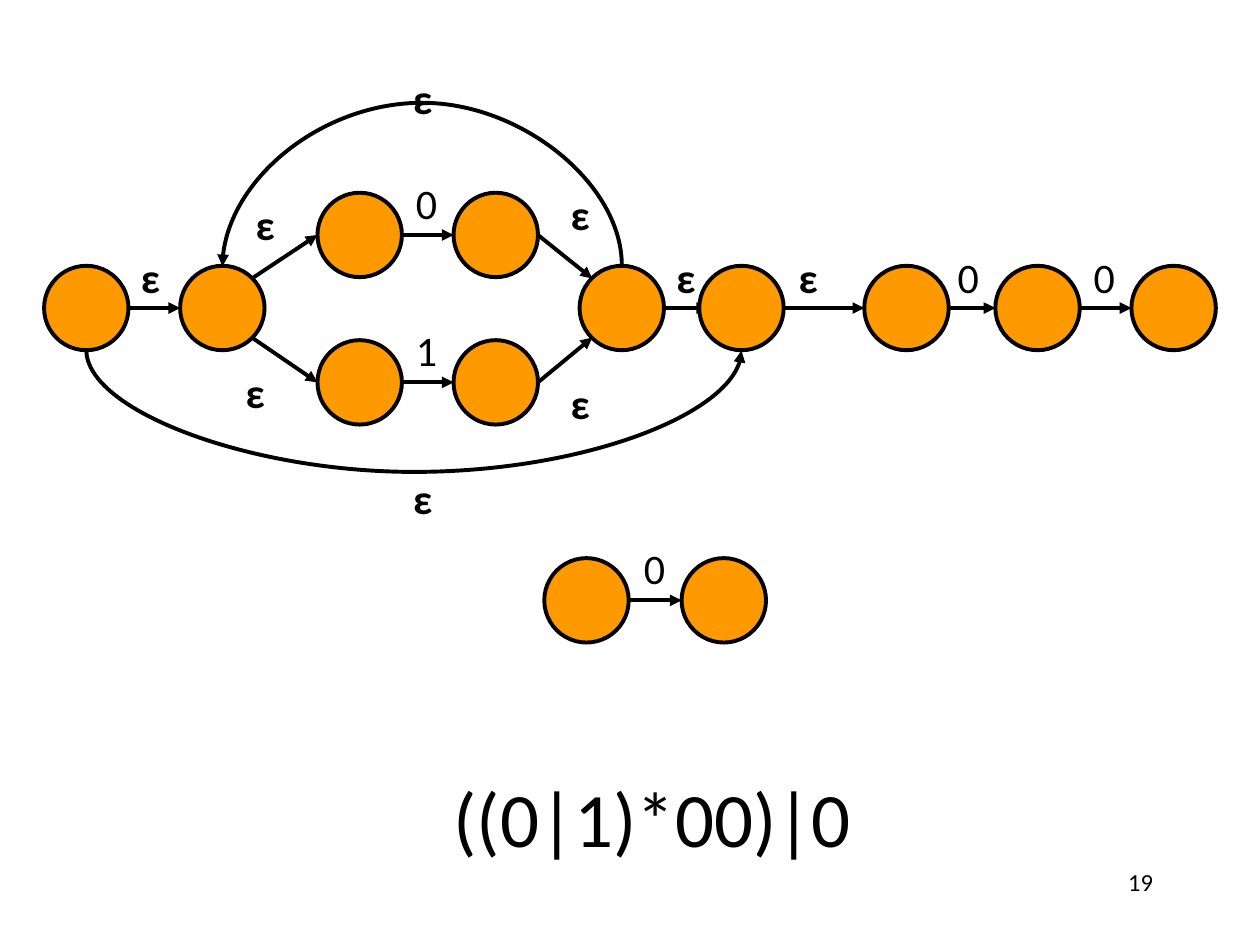
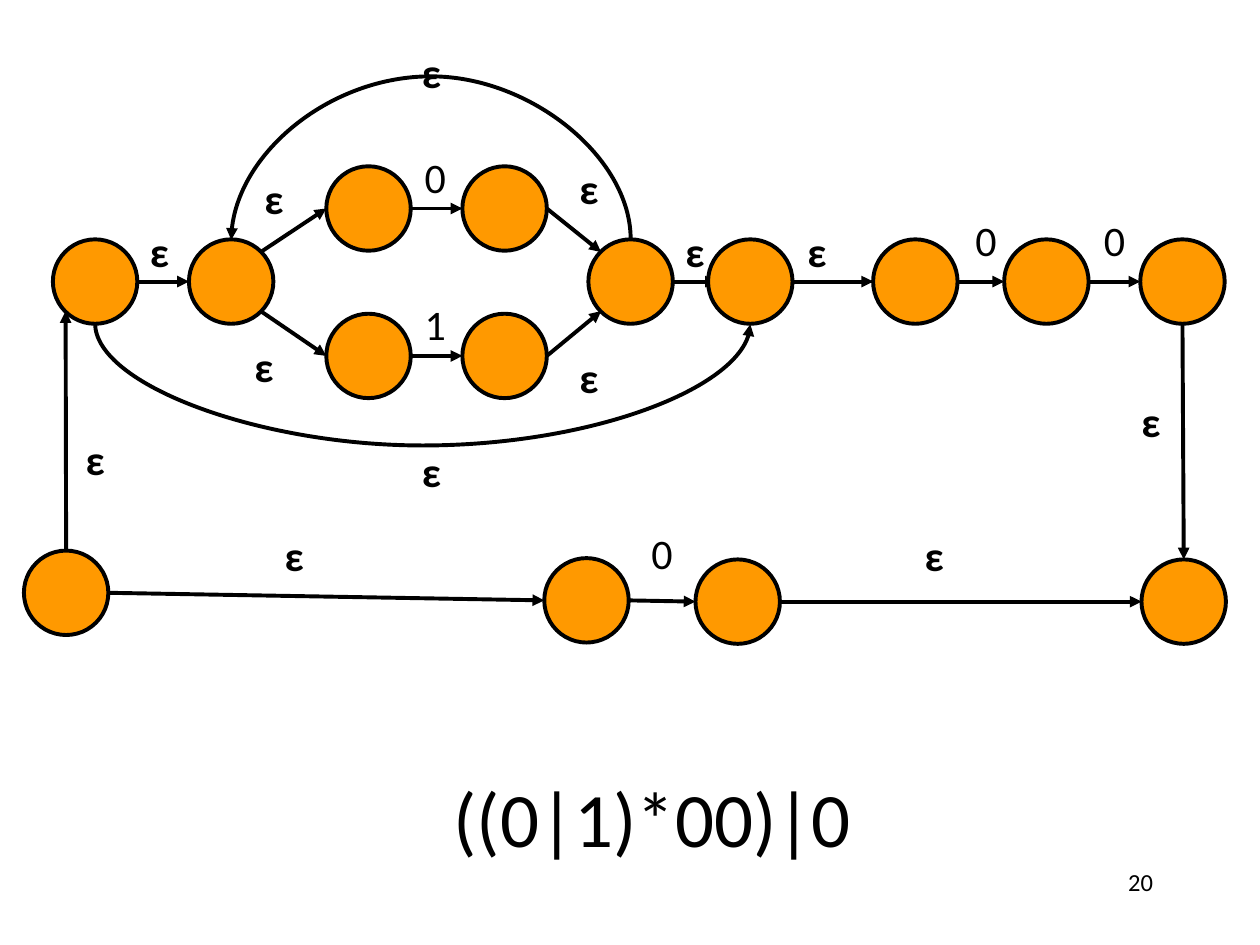
from lxml import etree
from pptx import Presentation
from pptx import util as u
from pptx.dml.color import RGBColor
from pptx.enum import shapes, text
from pptx.oxml.ns import qn

ORANGE = RGBColor(0xFF, 0x99, 0x00)
BLACK = RGBColor(0, 0, 0)
FONT = "Calibri"
DISC = 0.67
LINE_WIDTH = u.Pt(2.25)
LABEL_HEIGHT = 0.5
LABEL_WIDTH = {"ε": 0.35, "0": 0.37, "1": 0.37}
OVERLAP = 0.07  # the arrow into "accept" runs on under the disc
THIN = u.Emu(7200)  # thickness of the connector frame behind a curve

# Compass point on a disc: connection site, x and y as shares of its size
SITES = {"n": (0, 0.5, 0), "nw": (1, 0.15, 0.15), "w": (2, 0, 0.5),
         "sw": (3, 0.15, 0.85), "s": (4, 0.5, 1), "se": (5, 0.85, 0.85),
         "e": (6, 1, 0.5), "ne": (7, 0.85, 0.15)}

# Content: the automaton for (0|1)*00, on both slides
STATES = {
    "start": (0.35, 2.11), "fork": (1.43, 2.11),
    "zero_in": (2.52, 1.53), "zero_out": (3.6, 1.53),
    "one_in": (2.52, 2.7), "one_out": (3.6, 2.7),
    "join": (4.6, 2.11), "accept": (5.55, 2.11),
    "tail_1": (6.86, 2.11), "tail_2": (7.9, 2.11), "tail_3": (8.98, 2.11),
}
ARROWS = [
    ("start", "e", "fork", "w"), ("fork", "ne", "zero_in", "w"),
    ("fork", "se", "one_in", "w"), ("zero_in", "e", "zero_out", "w"),
    ("one_in", "e", "one_out", "w"), ("zero_out", "e", "join", "nw"),
    ("one_out", "e", "join", "sw"), ("join", "e", "accept", "w"),
    ("accept", "e", "tail_1", "w"), ("tail_1", "e", "tail_2", "w"),
    ("tail_2", "e", "tail_3", "w"),
]
# from, to, side, depth of the bow
CURVES = [("join", "fork", "n", 1.29), ("start", "accept", "s", 0.97)]
LABELS = [
    ("0", 3.2, 1.36), ("1", 3.2, 2.53), ("ε", 1.93, 1.53), ("ε", 1.85, 2.86),
    ("ε", 4.43, 1.45), ("ε", 4.43, 2.95), ("ε", 5.27, 1.95), ("ε", 3.18, 0.53),
    ("ε", 1.02, 1.95), ("ε", 3.18, 3.7), ("ε", 6.24, 1.95),
]

# Content: what each slide adds, and how far the shared part is moved
SLIDES = [
    {"number": "19", "shift": (0, 0),
     "states": {"single_in": (4.32, 4.43), "single_out": (5.41, 4.43)},
     "arrows": [("single_in", "e", "single_out", "w")],
     "labels": [("0", 7.5, 1.95), ("0", 8.58, 1.95), ("0", 5.01, 4.26)]},
    {"number": "20", "shift": (0.07, -0.21),
     "states": {"first": (0.19, 4.37), "single_in": (4.32, 4.43),
                "single_out": (5.52, 4.44), "last": (9.06, 4.44)},
     "arrows": [("first", "n", "start", "sw"), ("first", "e", "single_in", "w"),
                ("single_in", "e", "single_out", "w"),
                ("single_out", "e", "last", "w"), ("tail_3", "s", "last", "n")],
     "labels": [("0", 7.64, 1.65), ("0", 8.66, 1.65), ("0", 5.07, 4.14),
                ("ε", 2.16, 4.15), ("ε", 0.58, 3.39), ("ε", 7.24, 4.15),
                ("ε", 8.96, 3.09)]},
]
EXPRESSION = "((0|1)*00)|0"


def add_words(slide, words, box, size, align, bold=False):
    frame = slide.shapes.add_textbox(*map(u.Inches, box)).text_frame
    frame.word_wrap = True
    line = frame.paragraphs[0]
    line.alignment = align
    run = line.add_run()
    run.text = words
    for key, value in {"name": FONT, "size": u.Pt(size), "bold": bold}.items():
        setattr(run.font, key, value)
    run.font.color.rgb = BLACK


def add_state(slide, place):
    disc = slide.shapes.add_shape(shapes.MSO_SHAPE.FLOWCHART_CONNECTOR,
                                  *map(u.Inches, (*place, DISC, DISC)))
    disc.shadow.inherit = False
    disc.fill.solid()
    disc.fill.fore_color.rgb = ORANGE
    disc.line.color.rgb = BLACK
    disc.line.width = LINE_WIDTH
    return disc


def site_point(place, side):
    _, across, down = SITES[side]
    return place[0] + across * DISC, place[1] + down * DISC


def add_arrow(slide, kind, begin, end):
    arrow = slide.shapes.add_connector(kind, *map(u.Inches, (*begin, *end)))
    arrow.line.color.rgb = BLACK
    arrow.line.width = LINE_WIDTH
    etree.SubElement(arrow.line._get_or_add_ln(), qn("a:tailEnd"), type="triangle")
    etree.SubElement(arrow._element.spPr, qn("a:effectLst"))
    return arrow


def glue(arrow, ends):
    """Tie the arrow to (tag, disc, side) ends."""
    joints = arrow._element.find(".//" + qn("p:cNvCxnSpPr"))
    for tag, disc, side in ends:
        etree.SubElement(joints, qn(tag), id=str(disc.shape_id),
                         idx=str(SITES[side][0]))


def add_curve(slide, begin, end, side, depth):
    curve = add_arrow(slide, shapes.MSO_CONNECTOR.CURVE, begin, end)
    span = u.Inches(abs(end[0] - begin[0]))
    center = u.Inches((begin[0] + end[0]) / 2)
    frame = {"left": center - THIN // 2, "top": u.Inches(begin[1]) - span // 2,
             "width": THIN, "height": span}
    for key, value in frame.items():
        setattr(curve, key, value)
    above = side == "n"
    xfrm = curve._element.spPr.find(qn("a:xfrm"))
    xfrm.attrib.pop("flipH", None)
    xfrm.set("rot", str((90 if above else 270) * 60000))
    if not above:
        xfrm.set("flipH", "1")
    bow = round(u.Inches(depth) / THIN * 100000) * (-1 if above else 1)
    guides = curve._element.spPr.find(qn("a:prstGeom")).find(qn("a:avLst"))
    etree.SubElement(guides, qn("a:gd"), name="adj1", fmla=f"val {bow}")
    return curve


def build_slide(deck, content):
    slide = deck.slides.add_slide(deck.slide_layouts[6])
    dx, dy = content["shift"]

    # Page number and expression
    add_words(slide, content["number"], (7.17, 6.83, 2.08, 0.5), 14,
              text.PP_ALIGN.RIGHT)
    add_words(slide, EXPRESSION, (3.5, 6.07, 3.39, 0.84), 44, text.PP_ALIGN.LEFT)

    # States
    places = {name: (x + dx, y + dy) for name, (x, y) in STATES.items()}
    places.update(content["states"])
    discs = {name: add_state(slide, place) for name, place in places.items()}

    # Straight arrows
    for source, out, target, into in ARROWS + content["arrows"]:
        begin = site_point(places[source], out)
        x, y = site_point(places[target], into)
        ends = [("a:stCxn", discs[source], out)]
        if target == "accept":
            x += OVERLAP
        else:
            ends.append(("a:endCxn", discs[target], into))
        glue(add_arrow(slide, shapes.MSO_CONNECTOR.STRAIGHT, begin, (x, y)), ends)

    # The accepting disc covers the tip of its arrow
    front = discs["accept"]._element
    front.getparent().append(front)

    # Curved arrows
    for source, target, side, depth in CURVES:
        curve = add_curve(slide, site_point(places[source], side),
                          site_point(places[target], side), side, depth)
        glue(curve, [("a:stCxn", discs[source], side),
                     ("a:endCxn", discs[target], side)])

    # Labels
    moved = [(symbol, x + dx, y + dy) for symbol, x, y in LABELS]
    for symbol, x, y in moved + content["labels"]:
        add_words(slide, symbol, (x, y, LABEL_WIDTH[symbol], LABEL_HEIGHT), 24,
                  text.PP_ALIGN.CENTER, bold=symbol == "ε")


def main():
    deck = Presentation()
    deck.slide_width, deck.slide_height = u.Inches(10), u.Inches(7.5)
    for content in SLIDES:
        build_slide(deck, content)
    deck.save("out.pptx")


if __name__ == "__main__":
    main()
